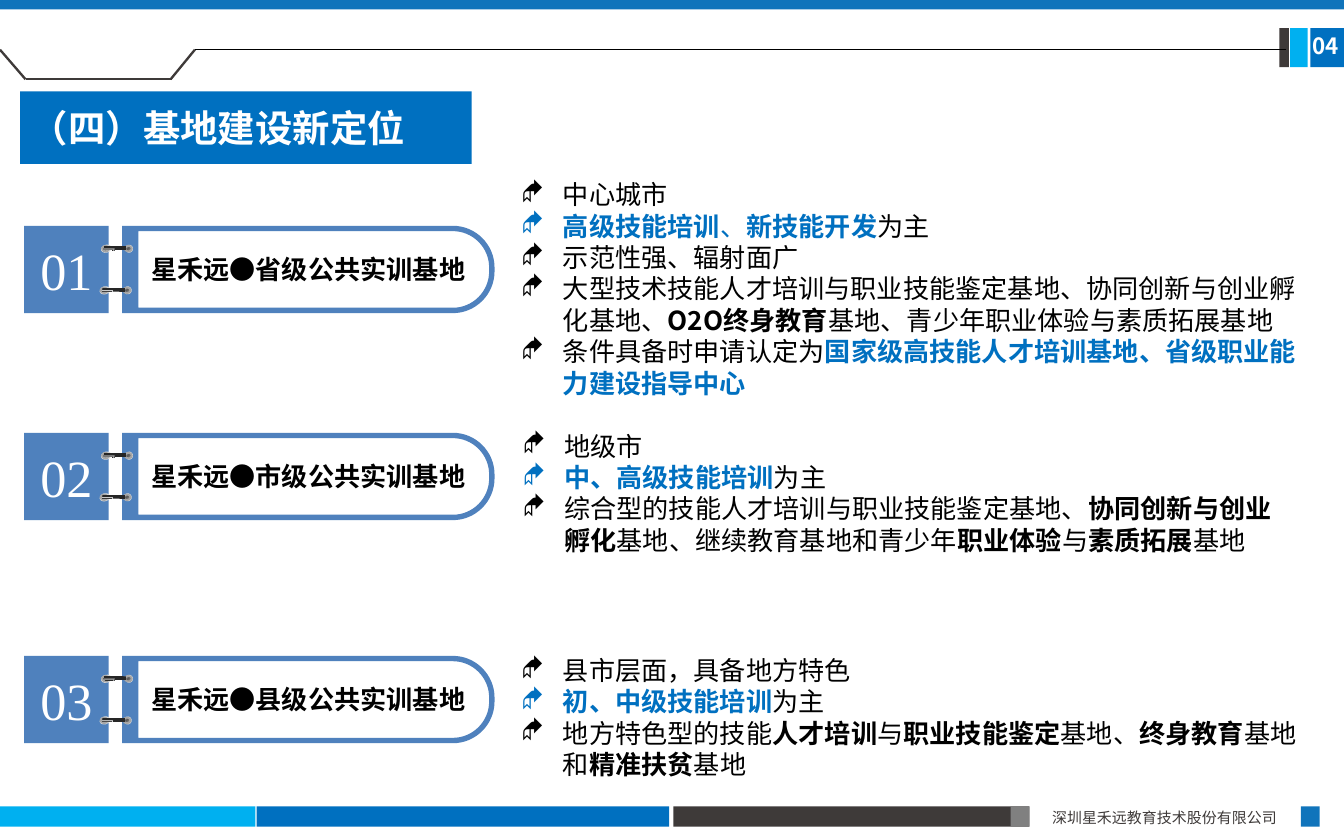
"""Build the slide on the new positioning of the three levels of training bases."""
from lxml import etree
from pptx import Presentation
from pptx.dml.color import RGBColor
from pptx.enum.shapes import MSO_CONNECTOR, MSO_SHAPE
from pptx.enum.text import MSO_ANCHOR, MSO_AUTO_SIZE, PP_ALIGN
from pptx.oxml.ns import qn
from pptx.util import Inches, Pt

RECTANGLE, OVAL = MSO_SHAPE.RECTANGLE, MSO_SHAPE.OVAL
STRAIGHT = MSO_CONNECTOR.STRAIGHT
TOP, MIDDLE = MSO_ANCHOR.TOP, MSO_ANCHOR.MIDDLE
LEFT, CENTER, JUSTIFY = PP_ALIGN.LEFT, PP_ALIGN.CENTER, PP_ALIGN.JUSTIFY
FIT_TEXT = MSO_AUTO_SIZE.SHAPE_TO_FIT_TEXT

BLACK = RGBColor(0x00, 0x00, 0x00)
WHITE = RGBColor(0xFF, 0xFF, 0xFF)
BLUE = RGBColor(0x00, 0x70, 0xC0)
SKY = RGBColor(0x00, 0xB0, 0xF0)
ACCENT = RGBColor(0x10, 0x74, 0xBB)
STEEL = RGBColor(0x4F, 0x81, 0xBD)
CHARCOAL = RGBColor(0x3E, 0x3A, 0x39)
GRAY = RGBColor(0x80, 0x80, 0x80)
SILVER = RGBColor(0xA6, 0xA6, 0xA6)
PALE = RGBColor(0xD9, 0xD9, 0xD9)

FONT = "Noto Sans CJK SC"
HOLE_STOPS = ((20, "808080"), (51, "595959"), (86, "A6A6A6"))
WIRE_STOPS = ((9, "262626"), (57, "D9D9D9"), (98, "262626"))
PLAIN = {}
BOLD = {"bold": True}
KEY = {"bold": True, "color": BLUE}

LEVELS = (
    ("01", "星禾远●省级公共实训基地", 1.68, (3.78, 1.28, 6.1, 1.75), (
        (("中心城市", PLAIN),),
        (("高级技能培训", KEY), ("、", {"color": BLUE}), ("新技能开发", KEY), ("为主", PLAIN)),
        (("示范性强、辐射面广", PLAIN),),
        (("大型技术技能人才培训与职业技能鉴定基地、协同创新与创业孵化基地、", PLAIN),
         ("O2O终身教育", BOLD), ("基地、青少年职业体验与素质拓展基地", PLAIN)),
        (("条件具备时申请认定为", PLAIN),
         ("国家级高技能人才培训基地、省级职业能力建设指导中心", KEY)),
    )),
    ("02", "星禾远●市级公共实训基地", 3.22, (3.79, 3.15, 5.92, 1.04), (
        (("地级市", PLAIN),),
        (("中、高级技能培训", KEY), ("为主", PLAIN)),
        (("综合型的技能人才培训与职业技能鉴定基地、", PLAIN), ("协同创新与创业孵化", BOLD),
         ("基地、继续教育基地和青少年", PLAIN), ("职业体验", BOLD), ("与", PLAIN),
         ("素质拓展", BOLD), ("基地", PLAIN)),
    )),
    ("03", "星禾远●县级公共实训基地", 4.88, (3.78, 4.82, 6.08, 1.04), (
        (("县市层面，具备地方特色", PLAIN),),
        (("初、中级技能培训", KEY), ("为主", PLAIN)),
        (("地方特色型的技能", PLAIN), ("人才培训", BOLD), ("与", PLAIN), ("职业技能鉴定", BOLD),
         ("基地、", PLAIN), ("终身教育", BOLD), ("基地和", PLAIN), ("精准扶贫", BOLD),
         ("基地", PLAIN)),
    )),
)


def add_run(paragraph, text, size=14, color=BLACK, bold=False, font=FONT):
    run = paragraph.add_run()
    run.text = text
    run.font.size, run.font.bold, run.font.name = Pt(size), bold, font
    run.font.color.rgb = color
    etree.SubElement(run._r.get_or_add_rPr(), qn("a:ea"), typeface=FONT)


def add_bullet(paragraph):
    properties = paragraph._p.get_or_add_pPr()
    properties.set("marL", str(Inches(0.31)))
    properties.set("indent", str(-Inches(0.31)))
    etree.SubElement(properties, qn("a:buFont"), typeface="Wingdings", charset="2")
    etree.SubElement(properties, qn("a:buChar"), char="◆")


def tab_outline(left, top, bottom, center, right):
    radius = right - center
    upper, lower = top + radius, bottom - radius
    handle = radius * 0.55
    return [(left, top), (center, top),
            (center + handle, top), (right, upper - handle), (right, upper),
            (right, lower),
            (right, lower + handle), (center + handle, bottom), (center, bottom),
            (left, bottom)]


def round_corners(shape):
    lines = list(shape._element.iter(qn("a:lnTo")))
    for outline in (lines[:9], lines[9:]):
        for corner in (outline[1:4], outline[5:8]):
            curve = etree.Element(qn("a:cubicBezTo"))
            corner[0].addprevious(curve)
            for segment in corner:
                curve.append(segment[0])
                segment.getparent().remove(segment)


class SlideBuilder:
    def __init__(self, slide):
        self.slide = slide

    def shape(self, kind, box, color=None, rotation=0, outline=None):
        shape = self.slide.shapes.add_shape(kind, *map(Inches, box))
        self.finish(shape, color, outline)
        shape.rotation = rotation
        return shape

    def finish(self, shape, color, outline=None):
        shape.shadow.inherit = False
        if color is not None:
            shape.fill.solid()
            shape.fill.fore_color.rgb = color
        if outline is None:
            shape.line.fill.background()
        else:
            shape.line.color.rgb = outline
            shape.line.width = Pt(1)

    def gradient(self, shape, stops, path, focus):
        shape.fill.gradient()
        gradient = shape._element.spPr.find(qn("a:gradFill"))
        for child in list(gradient):
            gradient.remove(child)
        stop_list = etree.SubElement(gradient, qn("a:gsLst"))
        for position, color in stops:
            stop = etree.SubElement(stop_list, qn("a:gs"), pos=str(position * 1000))
            etree.SubElement(stop, qn("a:srgbClr"), val=color)
        shade = etree.SubElement(gradient, qn("a:path"), path=path)
        etree.SubElement(shade, qn("a:fillToRect"), {side: "100000" for side in focus})

    def text(self, shape, paragraphs, margins=(0.1, 0.05), anchor=MIDDLE, align=LEFT,
             size=14, bullets=False, **style):
        frame = shape.text_frame
        frame.word_wrap, frame.vertical_anchor = True, anchor
        frame.margin_left = frame.margin_right = Inches(margins[0])
        frame.margin_top = frame.margin_bottom = Inches(margins[1])
        for index, runs in enumerate(paragraphs):
            paragraph = frame.add_paragraph() if index else frame.paragraphs[0]
            paragraph.alignment = align
            paragraph.line_spacing = Pt(size * 1.2)
            if bullets:
                add_bullet(paragraph)
            for text, changes in runs:
                add_run(paragraph, text, **{"size": size, **style, **changes})

    def text_box(self, box, paragraphs, **style):
        shape = self.slide.shapes.add_textbox(*map(Inches, box))
        self.text(shape, paragraphs, anchor=TOP, **style)
        shape.text_frame.auto_size = FIT_TEXT

    def line(self, start, end, color=CHARCOAL, width=1.25):
        line = self.slide.shapes.add_connector(STRAIGHT, *map(Inches, start + end))
        line.line.color.rgb, line.line.width = color, Pt(width)
        etree.SubElement(line._element.spPr, qn("a:effectLst"))

    def tab(self, top, label):
        outlines = (tab_outline(1.03, top + 0.04, top + 0.61, 3.37, 3.64),
                    tab_outline(0.91, top, top + 0.65, 3.37, 3.68))
        builder = self.slide.shapes.build_freeform(0, 0, scale=1)
        for index, outline in enumerate(outlines):
            points = [(Inches(x), Inches(y)) for x, y in outline]
            if index:
                builder.move_to(*points[0])
            else:
                builder = self.slide.shapes.build_freeform(*points[0], scale=1)
            builder.add_line_segments(points[1:], close=True)
        shape = builder.convert_to_shape()
        round_corners(shape)
        self.finish(shape, STEEL)
        self.text(shape, [[(label, BOLD)]], margins=(0.15, 0), align=CENTER)

    def ring(self, left, top):
        for offset in (0, 0.18):
            self.shape(OVAL, (left + offset, top, 0.08 - offset / 9, 0.06), PALE, 164.3)
        for offset in (0.01, 0.18):
            hole = self.shape(OVAL, (left + offset, top + 0.01, 0.05, 0.04),
                              rotation=180.7, outline=SILVER)
            self.gradient(hole, HOLE_STOPS, "circle", "lt")
        wire = self.shape(RECTANGLE, (left + 0.02, top + 0.01, 0.17, 0.03), rotation=180.7)
        self.gradient(wire, WIRE_STOPS, "rect", "tr")

    def level(self, number, label, top, box, paragraphs):
        square = self.shape(RECTANGLE, (0.18, top, 0.63, 0.65), STEEL)
        self.text(square, [[(number, PLAIN)]], margins=(0, 0), align=CENTER,
                  size=28, color=WHITE, font="Times New Roman")
        self.tab(top, label)
        self.ring(0.75, top + 0.14)
        self.ring(0.74, top + 0.45)
        self.text_box(box, paragraphs, bullets=True)


def main():
    presentation = Presentation()
    presentation.slide_width, presentation.slide_height = Inches(10), Inches(6.25)
    builder = SlideBuilder(presentation.slides.add_slide(presentation.slide_layouts[6]))

    for left, width, color in ((0, 1.9, SKY), (1.91, 3.07, BLUE), (5.01, 2.65, CHARCOAL),
                               (7.52, 0.14, GRAY), (9.68, 0.14, ACCENT)):
        builder.shape(RECTANGLE, (left, 6, width, 0.15), color)
    for left, width, color in ((9.75, 0.26, BLUE), (9.6, 0.13, SKY), (9.52, 0.07, CHARCOAL)):
        builder.shape(RECTANGLE, (left, 0.21, width, 0.29), color)
    builder.shape(RECTANGLE, (0, 0, 10, 0.07), ACCENT)
    builder.text_box((7.73, 5.97, 1.94, 0.24), [[("深圳星禾远教育技术股份有限公司", PLAIN)]],
                     align=JUSTIFY, size=8, color=CHARCOAL)

    for level in LEVELS:
        builder.level(*level)

    corners = ((0, 0.37), (0.19, 0.59), (1.27, 0.59), (1.45, 0.37))
    for start, end in zip(corners, corners[1:]):
        builder.line(start, end)
    builder.line(corners[-1], (9.57, 0.37), BLACK, 0.75)

    title = builder.shape(RECTANGLE, (0.15, 0.68, 3.36, 0.54), BLUE)
    builder.text(title, [[("（四）", {"font": "Calibri"}), ("基地建设新定位", PLAIN)]],
                 margins=(0.08, 0.04), size=20, color=WHITE, bold=True)
    builder.text_box((9.67, 0.19, 0.5, 0.3), [[("04", BOLD)]], size=12, color=WHITE)
    presentation.save("out.pptx")


if __name__ == "__main__":
    main()
